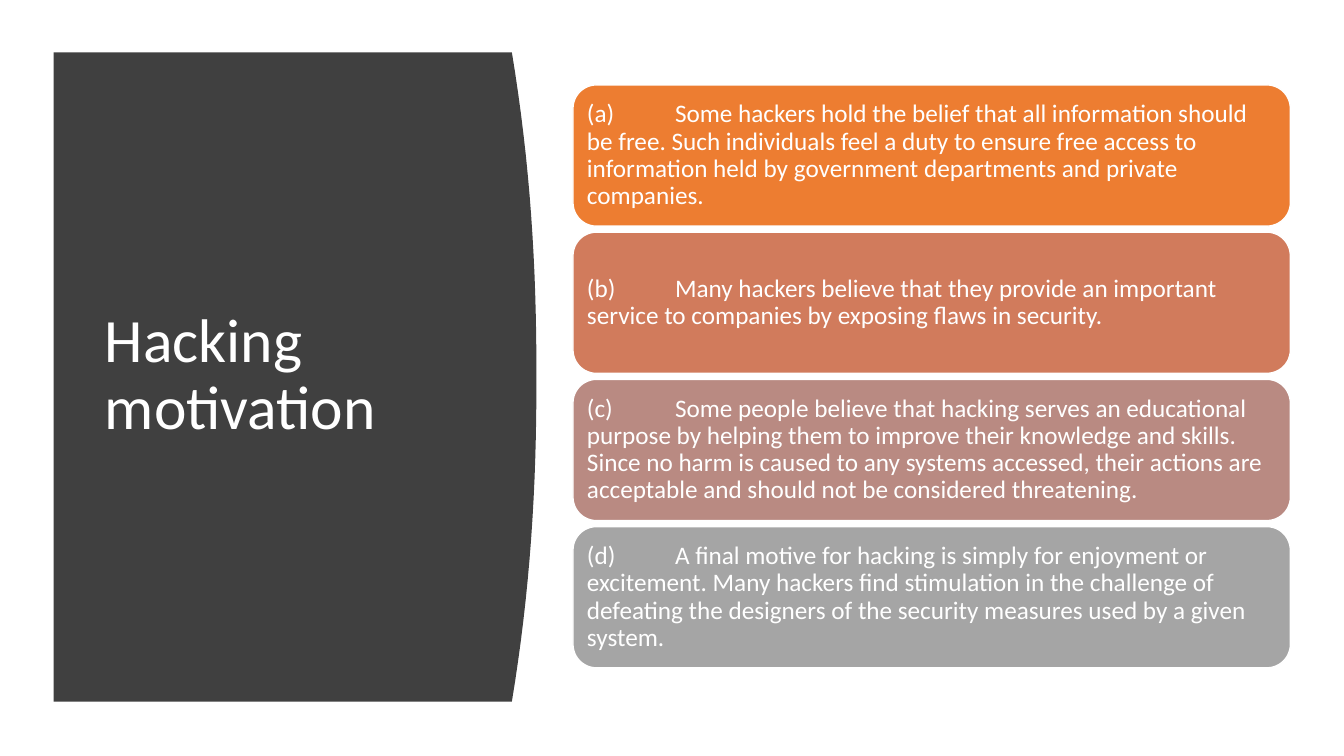
import lxml.etree
import pptx
import pptx.dml.color
import pptx.enum.shapes
import pptx.enum.text
import pptx.oxml.ns
import pptx.util
from pptx.util import Cm

WHITE = pptx.dml.color.RGBColor(0xFF, 0xFF, 0xFF)
CHARCOAL = pptx.dml.color.RGBColor(0x40, 0x40, 0x40)
ORANGE = pptx.dml.color.RGBColor(0xED, 0x7D, 0x31)
TERRACOTTA = pptx.dml.color.RGBColor(0xD1, 0x7B, 0x5C)
ROSE = pptx.dml.color.RGBColor(0xB9, 0x8A, 0x82)
GREY = pptx.dml.color.RGBColor(0xA5, 0xA5, 0xA5)

MOTIVES = [
    ("(a) \tSome hackers hold the belief that all information should be free. "
     "Such individuals feel a duty to ensure free access to information held by "
     "government departments and private companies.", ORANGE),
    ("(b)\tMany hackers believe that they provide an important service to "
     "companies by exposing flaws in security.", TERRACOTTA),
    ("(c)\tSome people believe that hacking serves an educational purpose by "
     "helping them to improve their knowledge and skills. Since no harm is caused "
     "to any systems accessed, their actions are acceptable and should not be "
     "considered threatening.", ROSE),
    ("(d)\tA final motive for hacking is simply for enjoyment or excitement. Many "
     "hackers find stimulation in the challenge of defeating the designers of the "
     "security measures used by a given system.", GREY),
]


def write_text(frame, text, size):
    """Fill a text frame with one left-aligned white paragraph."""
    frame.word_wrap = True
    frame.auto_size = pptx.enum.text.MSO_AUTO_SIZE.NONE
    frame.vertical_anchor = pptx.enum.text.MSO_ANCHOR.MIDDLE
    paragraph = frame.paragraphs[0]
    paragraph.alignment = pptx.enum.text.PP_ALIGN.LEFT
    paragraph.line_spacing = 0.9
    run = paragraph.add_run()
    run.text = text
    run.font.size = pptx.util.Pt(size)
    run.font.name = "Calibri"
    run.font.color.rgb = WHITE
    return paragraph


def add_curved_panel(slide):
    """Draw the dark panel with a bulging right edge behind the title."""
    left, top, edge, height, bulge, steps = 1.35, 1.32, 12.9, 16.36, 0.62, 32
    outline = slide.shapes.build_freeform(Cm(left), Cm(top))
    curve = []
    for step in range(steps + 1):
        distance = abs(2 * step / steps - 1)
        curve.append((Cm(edge + bulge * (1 - distance ** 2.2)),
                      Cm(top + height * step / steps)))
    outline.add_line_segments(curve + [(Cm(left), Cm(top + height))])
    panel = outline.convert_to_shape()
    panel.shadow.inherit = False
    panel.fill.solid()
    panel.fill.fore_color.rgb = CHARCOAL
    panel.line.fill.background()
    slide.shapes._spTree.insert(2, panel._element)


def add_title(slide, text):
    """Place the heading on the dark panel."""
    title = slide.shapes.title
    title.left, title.top = Cm(2.39), Cm(2.82)
    title.width, title.height = Cm(9.5), Cm(13.3)
    write_text(title.text_frame, text, 44)


def add_motive(slide, top, text, color):
    """Add one rounded card with its lettered motive."""
    card = slide.shapes.add_shape(
        pptx.enum.shapes.MSO_SHAPE.ROUNDED_RECTANGLE,
        Cm(14.44), top, Cm(18.08), Cm(3.56))
    card.shadow.inherit = False
    card.fill.solid()
    card.fill.fore_color.rgb = color
    card.line.color.rgb = WHITE
    card.line.width = pptx.util.Pt(1)
    frame = card.text_frame
    frame.margin_left = frame.margin_right = Cm(0.18)
    frame.margin_top = frame.margin_bottom = Cm(0.18)
    paragraph = write_text(frame, text, 18)
    tabs = lxml.etree.SubElement(
        paragraph._p.get_or_add_pPr(), pptx.oxml.ns.qn("a:tabLst"))
    lxml.etree.SubElement(
        tabs, pptx.oxml.ns.qn("a:tab"), pos=str(Cm(2.22)), algn="l")


def main():
    """Build and save the slide."""
    deck = pptx.Presentation()
    deck.slide_width, deck.slide_height = Cm(33.87), Cm(19.05)
    slide = deck.slides.add_slide(deck.slide_layouts[5])
    add_curved_panel(slide)
    add_title(slide, "Hacking motivation")
    for row, (text, color) in enumerate(MOTIVES):
        add_motive(slide, Cm(2.14 + 3.71 * row), text, color)
    deck.save("out.pptx")


if __name__ == "__main__":
    main()
